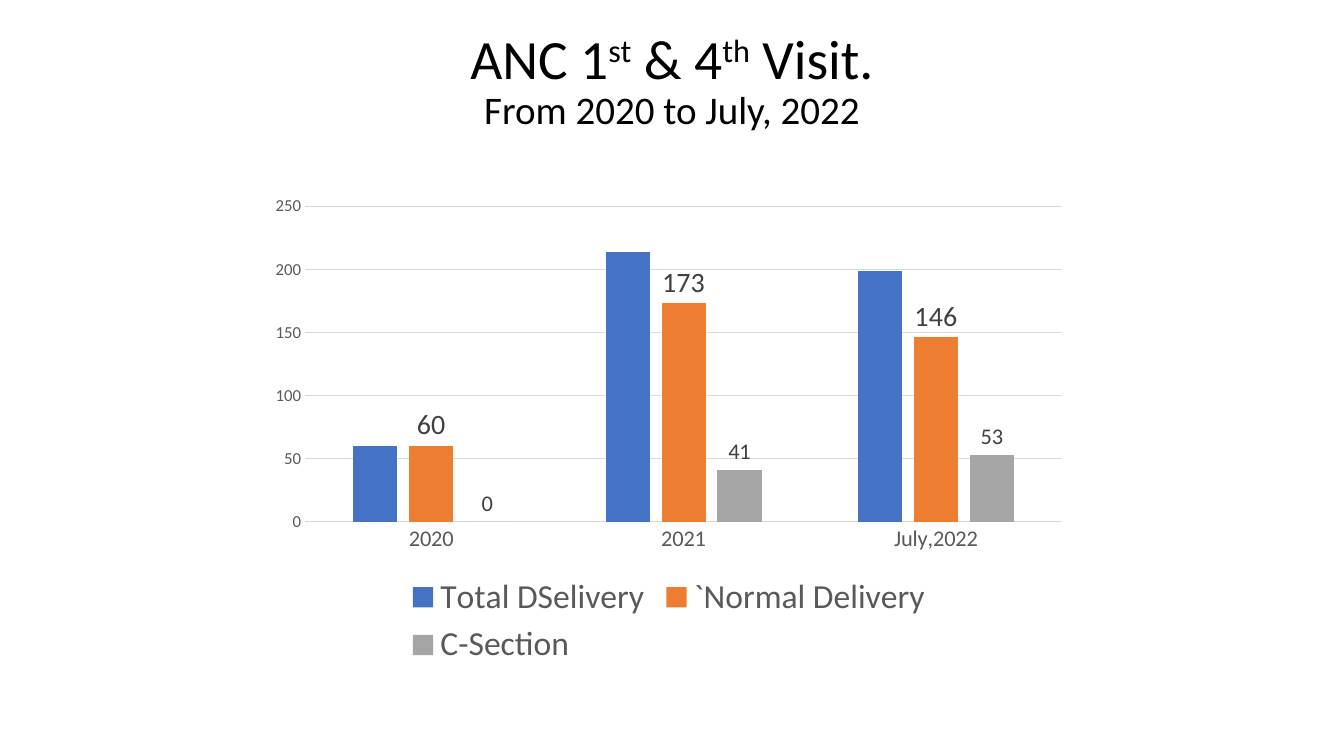
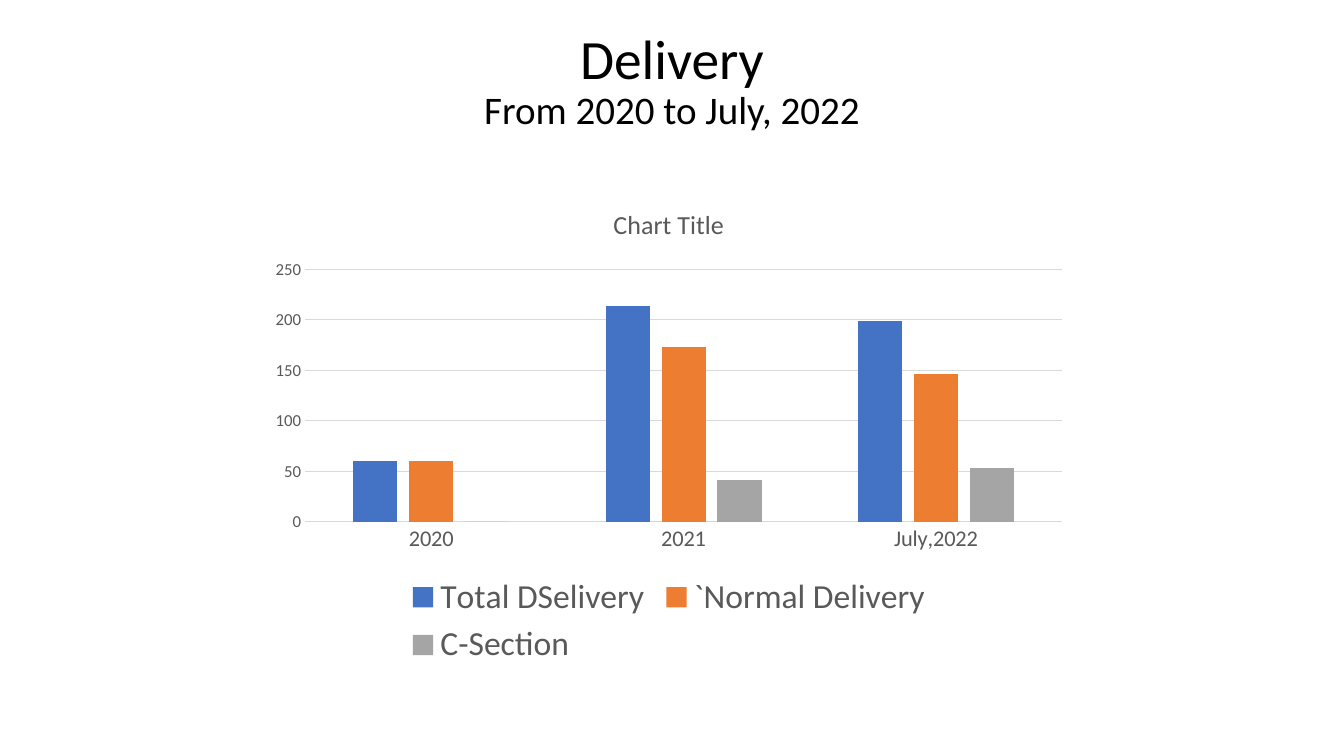
from pptx import Presentation
from pptx.chart.data import CategoryChartData
from pptx.dml.color import RGBColor
from pptx.enum.chart import XL_CHART_TYPE, XL_LABEL_POSITION, XL_LEGEND_POSITION, XL_TICK_MARK
from pptx.enum.text import MSO_ANCHOR, PP_ALIGN
from pptx.util import Cm, Pt

BLACK = RGBColor(0x00, 0x00, 0x00)
DARK_GRAY = RGBColor(0x40, 0x40, 0x40)
MID_GRAY = RGBColor(0x59, 0x59, 0x59)
LIGHT_GRAY = RGBColor(0xD9, 0xD9, 0xD9)
BLUE = RGBColor(0x44, 0x72, 0xC4)
ORANGE = RGBColor(0xED, 0x7D, 0x31)
SILVER = RGBColor(0xA5, 0xA5, 0xA5)

FONT = "Calibri"
HEADING_BOX = (Cm(2.33), Cm(0.79), Cm(29.21), Cm(3.91))
CHART_BOX = (Cm(6.53), Cm(4.7), Cm(20.65), Cm(12.24))
PERIOD = "From 2020 to July, 2022"
YEARS = ("2020", "2021", "July,2022")
DELIVERIES = (
    ("Total DSelivery", (60, 214, 199), BLUE),
    ("`Normal Delivery", (60, 173, 146), ORANGE),
    ("C-Section", (0, 41, 53), SILVER),
)


def style_font(font, size, color):
    font.name = FONT
    font.size = Pt(size)
    font.bold = False
    font.color.rgb = color


def style_line(line, color):
    line.color.rgb = color
    line.width = Pt(0.75)


def add_heading(slide, box, topic):
    frame = slide.shapes.add_textbox(*box).text_frame
    frame.word_wrap = True
    frame.vertical_anchor = MSO_ANCHOR.TOP
    frame.margin_top = 0
    lines = ((topic, 39.6), ([(PERIOD, False)], 27.9))
    for index, (parts, size) in enumerate(lines):
        paragraph = frame.add_paragraph() if index else frame.paragraphs[0]
        paragraph.alignment = PP_ALIGN.CENTER
        paragraph.line_spacing = 0.9
        for text, raised in parts:
            run = paragraph.add_run()
            run.text = text
            style_font(run.font, size, BLACK)
            if raised:
                run.font._element.set("baseline", "30000")


def style_axes(chart):
    years = chart.category_axis
    style_font(years.tick_labels.font, 16, MID_GRAY)
    style_line(years.format.line, LIGHT_GRAY)
    counts = chart.value_axis
    style_font(counts.tick_labels.font, 12, MID_GRAY)
    counts.format.line.fill.background()
    counts.minimum_scale = 0
    counts.maximum_scale = 250
    counts.major_unit = 50
    counts.has_major_gridlines = True
    style_line(counts.major_gridlines.format.line, LIGHT_GRAY)
    for axis in (years, counts):
        axis.major_tick_mark = XL_TICK_MARK.NONE
        axis.minor_tick_mark = XL_TICK_MARK.NONE


def add_delivery_chart(slide, box, title, label_sizes):
    data = CategoryChartData()
    data.categories = YEARS
    for name, values, _ in DELIVERIES:
        data.add_series(name, values)
    chart = slide.shapes.add_chart(XL_CHART_TYPE.COLUMN_CLUSTERED, *box, data).chart
    style_font(chart.font, 10, BLACK)

    chart.has_title = bool(title)
    if title:
        run = chart.chart_title.text_frame.paragraphs[0].add_run()
        run.text = title
        style_font(run.font, 18.6, MID_GRAY)
        chart.chart_title.include_in_layout = False

    chart.has_legend = True
    chart.legend.position = XL_LEGEND_POSITION.BOTTOM
    chart.legend.include_in_layout = False
    style_font(chart.legend.font, 24, MID_GRAY)
    style_axes(chart)

    plot = chart.plots[0]
    plot.gap_width = 219
    plot.overlap = -27
    plot.vary_by_categories = False
    for series, (name, _, color) in zip(plot.series, DELIVERIES):
        series.format.fill.solid()
        series.format.fill.fore_color.rgb = color
        series.invert_if_negative = False
        if name in label_sizes:
            labels = series.data_labels
            labels.show_value = True
            labels.position = XL_LABEL_POSITION.OUTSIDE_END
            style_font(labels.font, label_sizes[name], DARK_GRAY)


def add_chart_slide(deck, topic, title=None, label_sizes=None):
    slide = deck.slides.add_slide(deck.slide_layouts[6])
    add_heading(slide, HEADING_BOX, topic)
    add_delivery_chart(slide, CHART_BOX, title, label_sizes or {})


def main():
    deck = Presentation()
    deck.slide_width = Cm(33.87)
    deck.slide_height = Cm(19.05)
    visits = [("ANC 1", False), ("st", True), (" & 4", False), ("th", True), (" Visit.", False)]
    add_chart_slide(deck, visits, label_sizes={"`Normal Delivery": 20, "C-Section": 16})
    add_chart_slide(deck, [("Delivery", False)], title="Chart Title")
    deck.save("out.pptx")


if __name__ == "__main__":
    main()
